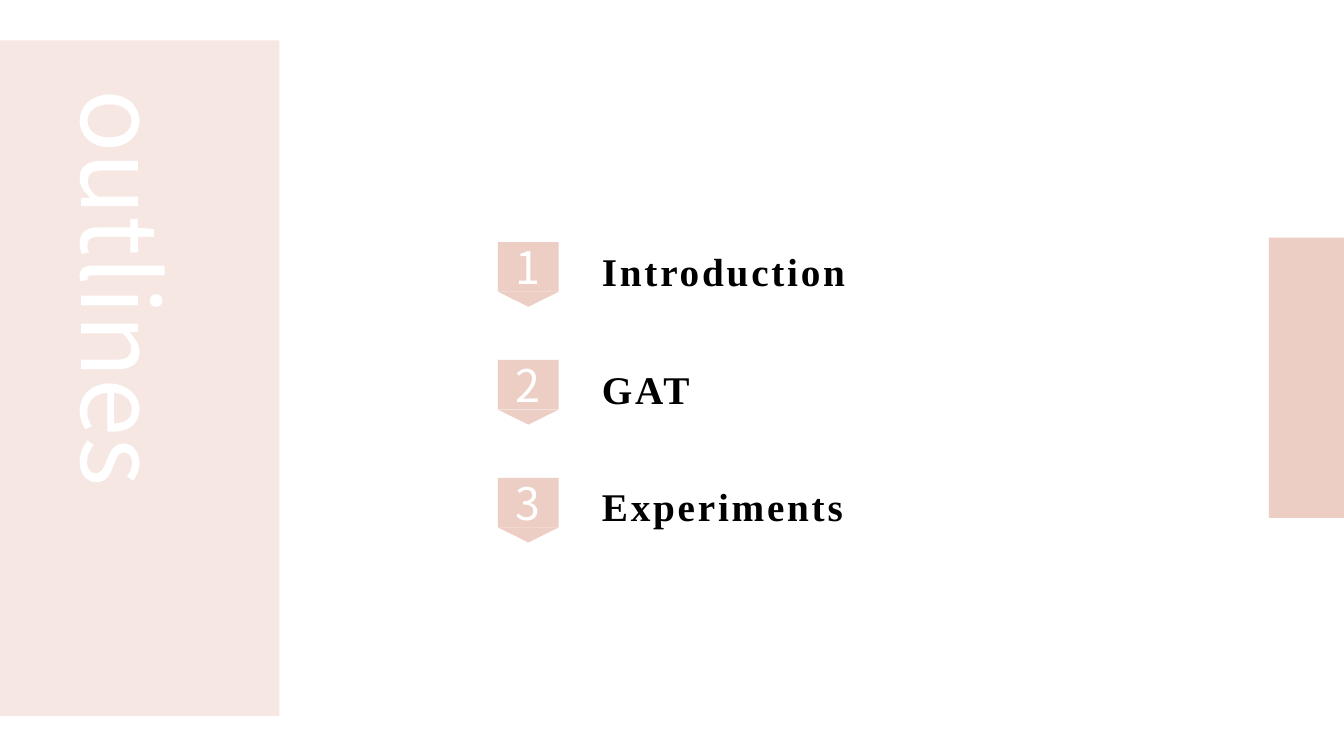
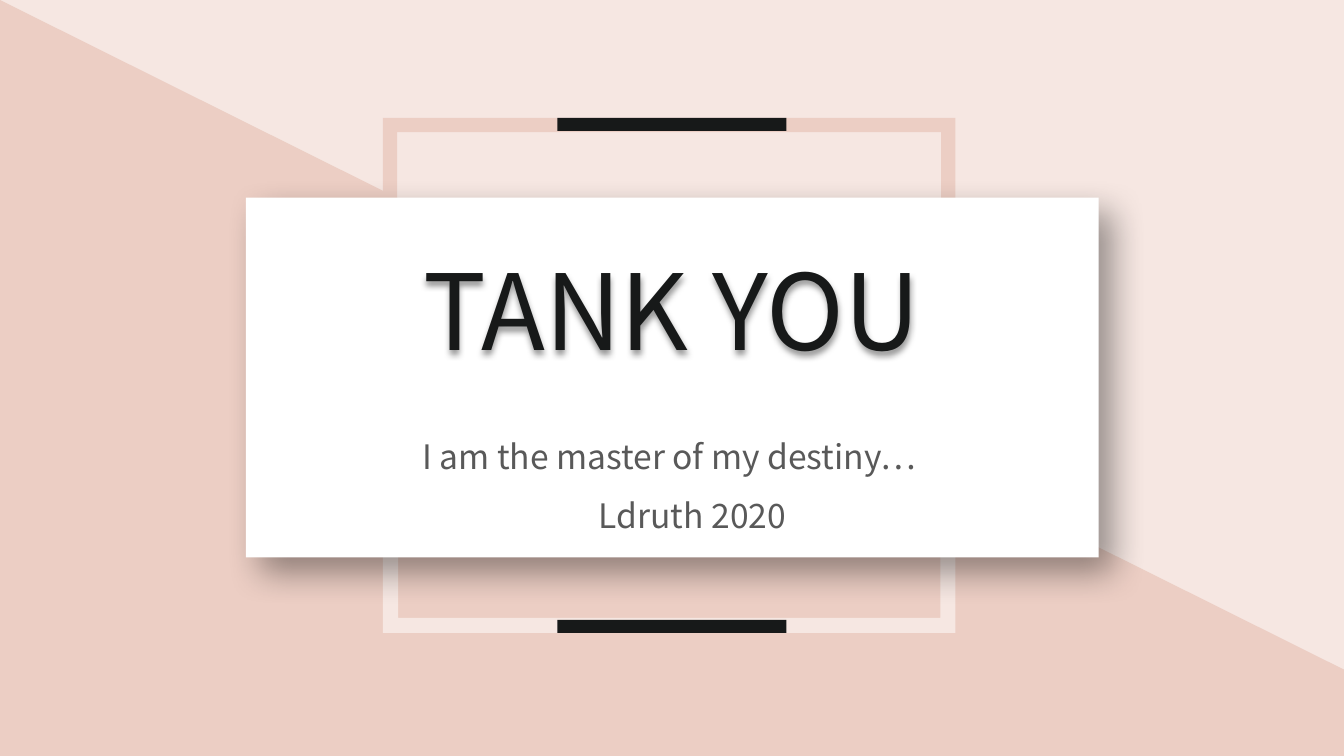
import pptx
import pptx.util
import pptx.dml.color
import pptx.enum.shapes
import pptx.enum.text
import pptx.oxml

Cm, Pt = pptx.util.Cm, pptx.util.Pt
Kind = pptx.enum.shapes.MSO_SHAPE
Align = pptx.enum.text.PP_ALIGN
Anchor = pptx.enum.text.MSO_ANCHOR

HUES = {
    "white": "FFFFFF", "blush": "F6E7E2", "rose": "ECCEC4",
    "ink": "171919", "gray": "595959", "black": "000000",
}
SANS, SERIF = "Noto Sans CJK SC", "Times New Roman"
SHADE = (
    '<a:effectLst xmlns:a="http://schemas.openxmlformats.org/drawingml/2006/main">'
    '<a:outerShdw blurRad="{}" dist="{}" dir="{}" algn="tl" rotWithShape="0">'
    '<a:srgbClr val="000000"><a:alpha val="{}"/></a:srgbClr>'
    '</a:outerShdw></a:effectLst>'
)


class Deck:
    """Holds the style and the current slide."""

    def __init__(self):
        self.file = pptx.Presentation()
        self.file.slide_width, self.file.slide_height = Cm(33.87), Cm(19.05)
        self.slide = None

    def hue(self, name):
        return pptx.dml.color.RGBColor.from_string(HUES[name])

    def page(self, hue):
        self.slide = self.file.slides.add_slide(self.file.slide_layouts[6])
        fill = self.slide.background.fill
        fill.solid()
        fill.fore_color.rgb = self.hue(hue)

    def shape(self, box, hue, kind=Kind.RECTANGLE, turn=0, edge=None):
        item = self.slide.shapes.add_shape(kind, *map(Cm, box))
        item.shadow.inherit = False
        item.fill.solid()
        item.fill.fore_color.rgb = self.hue(hue)
        item.line.fill.background()
        item.rotation = turn
        if edge is not None:
            item.adjustments[0] = edge
        return item

    def label(self, item, words, size, hue, font=SANS, align=Align.CENTER,
              bold=False, gap=0):
        part = item.text_frame.paragraphs[0]
        part.alignment = align
        run = part.add_run()
        run.text = words
        run.font.size, run.font.name, run.font.bold = Pt(size), font, bold
        run.font.color.rgb = self.hue(hue)
        if gap:
            run.font._element.set("spc", str(gap * 100))

    def text(self, box, words, size, hue, **style):
        item = self.slide.shapes.add_textbox(*map(Cm, box))
        item.text_frame.word_wrap = True
        self.label(item, words, size, hue, **style)
        return item

    def shade(self, item, alpha, blur, dist, angle):
        item.shadow.inherit = True
        item._element.spPr.append(pptx.oxml.parse_xml(SHADE.format(
            Pt(blur), Pt(dist), angle * 60000, alpha * 1000)))

    def badge(self, left, top, digit):
        wide, high = 1.53, 1.25
        flag = self.shape((left, top, wide, high), "rose")
        flag.text_frame.vertical_anchor = Anchor.MIDDLE
        self.label(flag, digit, 32, "white")
        self.shape((left, top + high, wide, 0.38), "rose",
                   Kind.ISOSCELES_TRIANGLE, turn=180)


def agenda(deck):
    deck.page("white")
    # Side bands
    deck.shape((0, 1.02, 7.04, 17.02), "blush")
    deck.shape((31.98, 5.99, 1.89, 7.06), "rose")
    # Vertical title
    title = deck.text((0.74, 2, 4.09, 11), "outlines", 75, "white",
                      align=Align.LEFT)
    title.text_frame._txBody.bodyPr.set("vert", "vert")
    # Numbered topics
    for row, topic in enumerate(("Introduction", "GAT", "Experiments")):
        top = 6.1 + row * 2.97
        deck.badge(12.55, top, str(row + 1))
        deck.text((14.92, top, 9.04, 1.45), topic, 28, "black", font=SERIF,
                  align=Align.LEFT, bold=True, gap=2)


def closing(deck):
    deck.page("blush")
    # Diagonal backdrop and frames
    deck.shape((0, 0, 41.15, 20.5), "rose", Kind.RIGHT_TRIANGLE)
    for top, high, hue in ((5.64, 10.31, "blush"), (2.97, 9.75, "rose")):
        deck.shape((9.65, top, 14.43, high), hue, Kind.FRAME, edge=0.037)
    # Card with title
    card = deck.shape((6.2, 4.98, 21.49, 9.07), "white")
    deck.shade(card, 38, 25, 15, 45)
    title = deck.text((7.54, 6.05, 18.77, 3.45), "TANK YOU", 75, "ink")
    deck.shade(title, 40, 4, 3, 90)
    # Dark bars
    for top in (2.97, 15.62):
        deck.shape((14.05, top, 5.77, 0.33), "ink")
    # Closing lines
    deck.text((10.39, 10.85, 14.43, 1.27), "I am the master of my destiny…",
              24, "gray", align=Align.LEFT)
    deck.text((13.69, 12.34, 7.52, 1.27), "Ldruth 2020", 24, "gray")


def main():
    deck = Deck()
    agenda(deck)
    closing(deck)
    deck.file.save("out.pptx")


if __name__ == "__main__":
    main()
